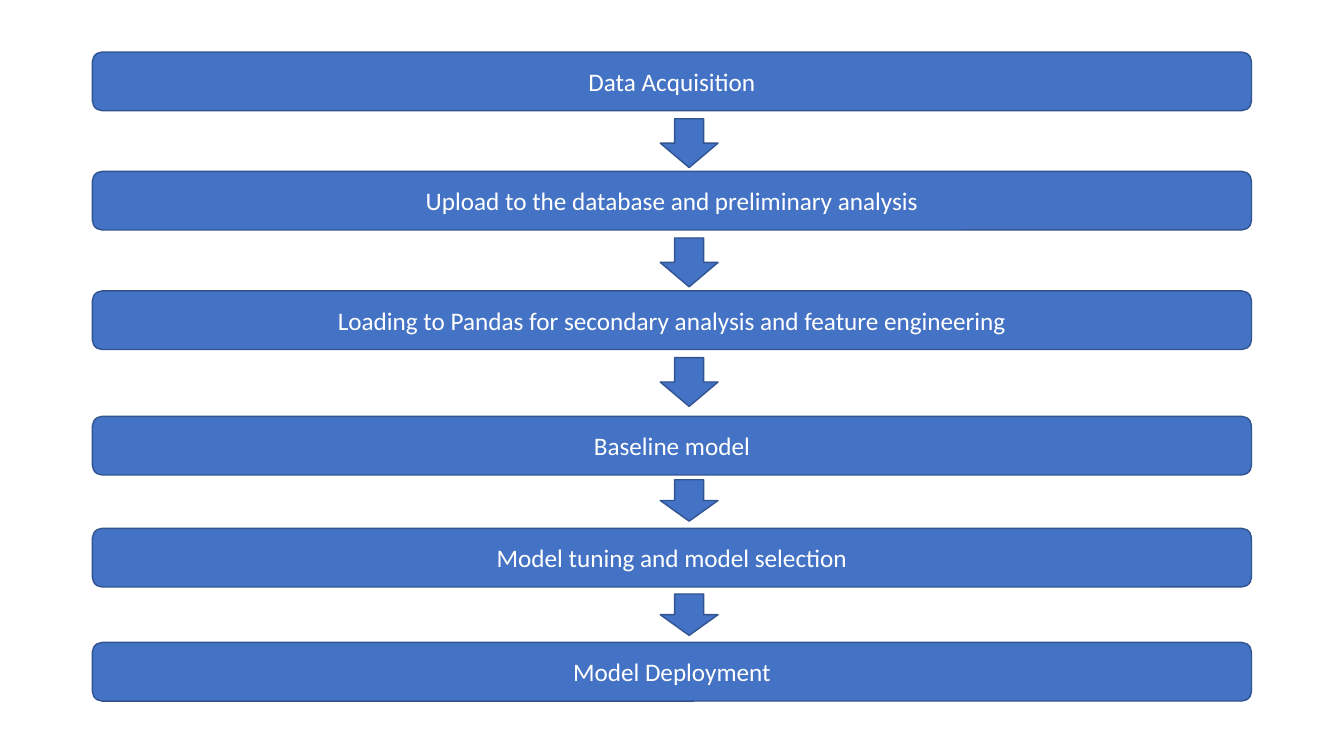
from dataclasses import dataclass

from pptx import Presentation
from pptx.dml.color import RGBColor
from pptx.enum.shapes import MSO_SHAPE as Shape
from pptx.enum.text import MSO_ANCHOR as Anchor, PP_ALIGN as Align
from pptx.util import Pt


@dataclass(frozen=True)
class Theme:
    fill: RGBColor = RGBColor(0x44, 0x72, 0xC4)
    outline: RGBColor = RGBColor(0x32, 0x54, 0x91)
    text: RGBColor = RGBColor(0xFF, 0xFF, 0xFF)
    font: str = "Calibri"
    text_size: float = 18
    outline_width: float = 1


THEME = Theme()

# Slide and column geometry, in points
SLIDE_WIDTH, SLIDE_HEIGHT = 960, 540
STEP_LEFT, STEP_WIDTH, STEP_HEIGHT = 66, 828, 41.9
ARROW_LEFT, ARROW_WIDTH = 471.6, 41.3

# Pipeline steps: label, top
STEPS = [
    ("Data Acquisition", 37.2),
    ("Upload to the database and preliminary analysis", 122.4),
    ("Loading to Pandas for secondary analysis and feature engineering", 207.8),
    ("Baseline model", 297.4),
    ("Model tuning and model selection", 377.4),
    ("Model Deployment", 458.9),
]

# Arrows after each step but the last: gap below the step, height
ARROWS = [(5.7, 34.9), (5.7, 34.9), (5.7, 34.9), (3.4, 29.6), (5, 29.6)]


def add_block(slide, kind, left, top, width, height):
    """Add a filled and outlined preset shape."""
    shape = slide.shapes.add_shape(kind, Pt(left), Pt(top), Pt(width), Pt(height))
    shape.shadow.inherit = False
    shape.fill.solid()
    shape.fill.fore_color.rgb = THEME.fill
    shape.line.color.rgb = THEME.outline
    shape.line.width = Pt(THEME.outline_width)
    return shape


def write_text(shape, text, *, size=THEME.text_size, color=THEME.text, align=Align.CENTER):
    """Put one formatted line of text into a shape."""
    frame = shape.text_frame
    frame.word_wrap = True
    frame.vertical_anchor = Anchor.MIDDLE
    paragraph = frame.paragraphs[0]
    paragraph.alignment = align
    run = paragraph.add_run()
    run.text = text
    run.font.name = THEME.font
    run.font.size = Pt(size)
    run.font.color.rgb = color


def add_step(slide, label, top):
    step = add_block(slide, Shape.ROUNDED_RECTANGLE, STEP_LEFT, top, STEP_WIDTH, STEP_HEIGHT)
    write_text(step, label)


def add_arrow(slide, top, height):
    add_block(slide, Shape.DOWN_ARROW, ARROW_LEFT, top, ARROW_WIDTH, height)


def main():
    presentation = Presentation()
    presentation.slide_width = Pt(SLIDE_WIDTH)
    presentation.slide_height = Pt(SLIDE_HEIGHT)
    blank_layout = presentation.slide_layouts[6]
    slide = presentation.slides.add_slide(blank_layout)

    # Steps
    for label, top in STEPS:
        add_step(slide, label, top)

    # Arrows between the steps
    for (_, step_top), (gap, height) in zip(STEPS, ARROWS):
        add_arrow(slide, step_top + STEP_HEIGHT + gap, height)

    presentation.save("out.pptx")


main()
